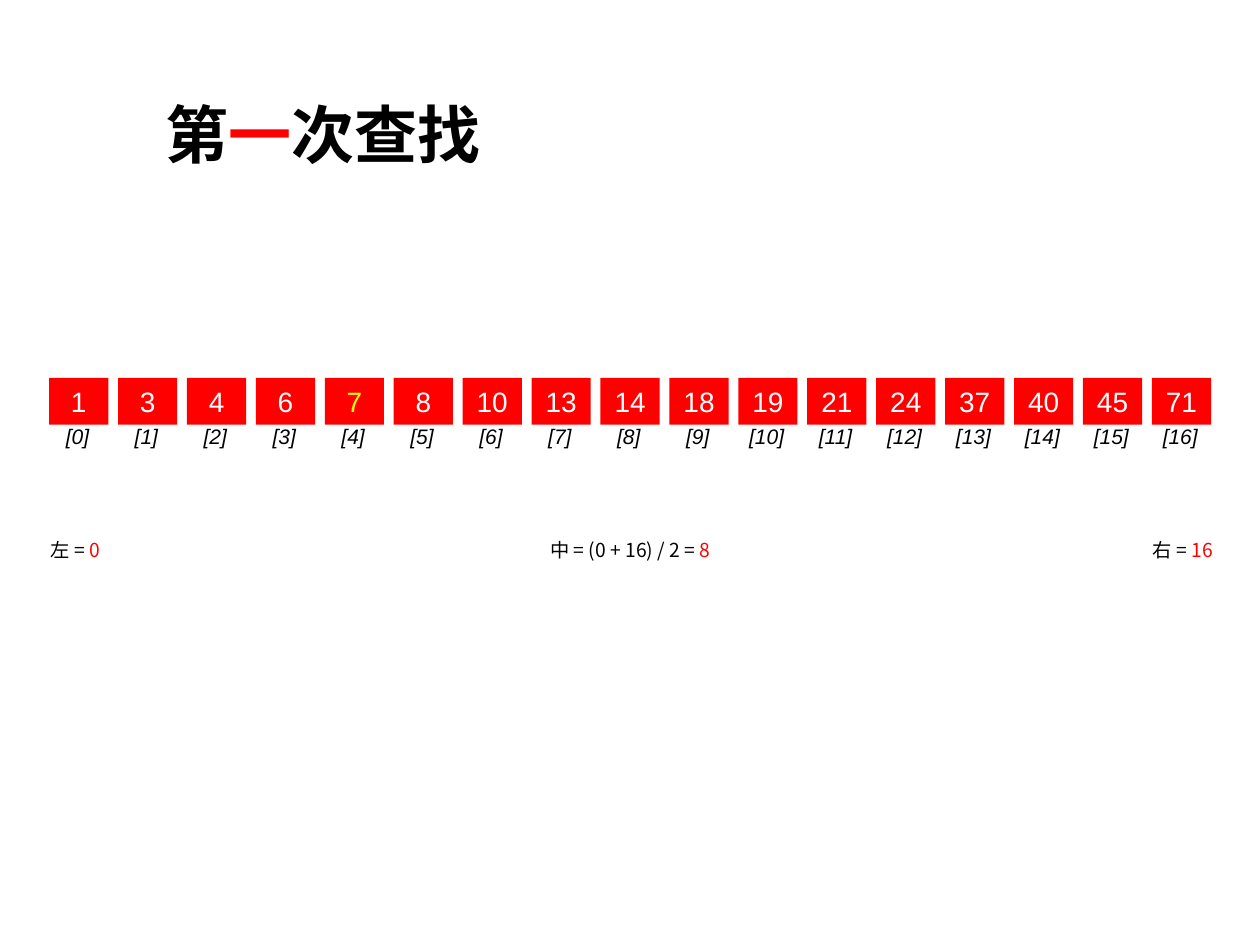
from lxml.etree import SubElement
from pptx import Presentation
from pptx.dml.color import RGBColor
from pptx.enum.shapes import MSO_SHAPE
from pptx.enum.text import MSO_ANCHOR, PP_ALIGN
from pptx.oxml.ns import qn
from pptx.util import Inches, Pt

RED = RGBColor(255, 0, 0)
YELLOW = RGBColor(255, 255, 0)
WHITE = RGBColor(255, 255, 255)
BLACK = RGBColor(0, 0, 0)
LATIN, CJK = "Arial", "Noto Sans CJK SC"

TITLE = [("第", BLACK), ("一", RED), ("次查找", BLACK)]
VALUES = [1, 3, 4, 6, 7, 8, 10, 13, 14, 18, 19, 21, 24, 37, 40, 45, 71]
TARGET = 7
BOUNDS = [
    (0.21, 0.78, "左 = ", "0"),
    (4.12, 1.8, "中 = (0 + 16) / 2 = ", "8 "),
    (8.96, 0.86, "右 = ", "16"),
]
GRID_LEFT, PITCH = 0.39, 0.547
CELL_TOP, CELL_W, CELL_H = 3, 0.47, 0.37
INDEX_TOP, INDEX_H = 3.31, 0.3
BOUND_TOP, BOUND_H = 4.22, 0.29


def write(tf, runs, size, font, align=PP_ALIGN.CENTER, bold=False, italic=False):
    p = tf.paragraphs[0]
    p.alignment = align
    for text, color in runs:
        r = p.add_run()
        r.text = text
        r.font.size, r.font.name = Pt(size), font
        r.font.bold, r.font.italic = bold, italic
        r.font.color.rgb = color
        SubElement(r.font._element, qn("a:ea"), typeface=font)


def add_text(s, x, y, w, h, runs, size, font, wrap=True, italic=False):
    tf = s.shapes.add_textbox(Inches(x), Inches(y), Inches(w), Inches(h)).text_frame
    tf.word_wrap = wrap
    write(tf, runs, size, font, italic=italic)


prs = Presentation()
prs.slide_width, prs.slide_height = Inches(10), Inches(7.5)
s = prs.slides.add_slide(prs.slide_layouts[5])

title = s.shapes.title
title.left, title.top = 0, Inches(0.7)
title.width, title.height = prs.slide_width, Inches(0.71)
tf = title.text_frame
tf.margin_left = Inches(1.31)
tf.vertical_anchor = MSO_ANCHOR.MIDDLE
write(tf, TITLE, 36, CJK, PP_ALIGN.LEFT, bold=True)

for i, value in enumerate(VALUES):
    x = GRID_LEFT + i * PITCH
    cell = s.shapes.add_shape(MSO_SHAPE.RECTANGLE, Inches(x), Inches(CELL_TOP),
                              Inches(CELL_W), Inches(CELL_H))
    cell.shadow.inherit = False
    cell.fill.solid()
    cell.fill.fore_color.rgb = RED
    cell.line.fill.background()
    write(cell.text_frame, [(str(value), YELLOW if value == TARGET else WHITE)], 16, LATIN)
    cell.text_frame.word_wrap = False

    index = f"[{i}]"
    w = 0.12 + 0.09 * len(index)
    add_text(s, x + (CELL_W - w) / 2 - 0.01, INDEX_TOP, w, INDEX_H,
             [(index, BLACK)], 12, LATIN, wrap=False, italic=True)

for x, w, label, result in BOUNDS:
    add_text(s, x, BOUND_TOP, w, BOUND_H, [(label, BLACK), (result, RED)], 11, CJK)

prs.save("out.pptx")
